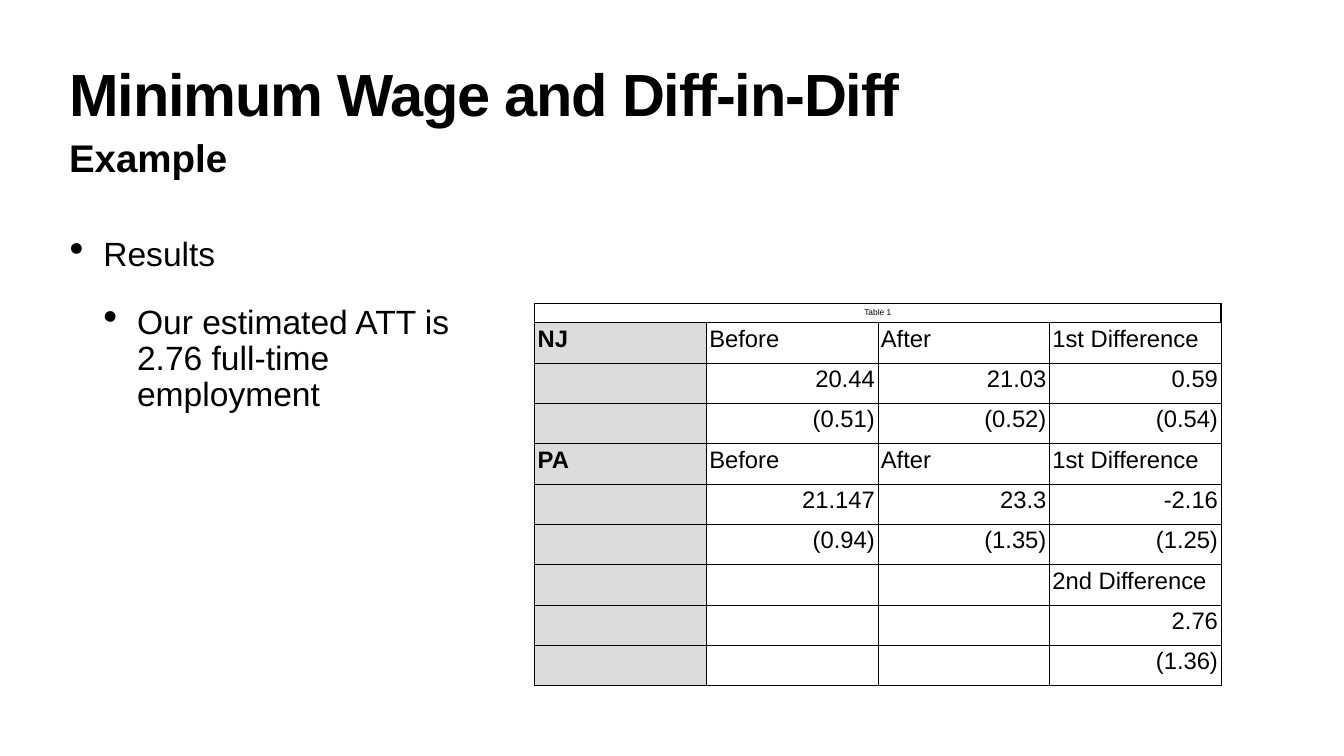
from pptx import Presentation
from pptx.dml.color import RGBColor
from pptx.enum.text import MSO_ANCHOR as Anchor, PP_ALIGN as Align
from pptx.oxml.ns import qn
from pptx.util import Pt
from lxml.etree import SubElement

PX = 9144
INK, LABEL_FILL = "000000", "DCDCDC"
COLUMN_EDGES = [1, 0.75, 0.35, 1, 1]
ROW_EDGES = [1, 1, 1, 0.35, 1, 1, 0.35, 1, 0.35, 0.35, 1]
RESULTS = [
    ["NJ", "Before", "After", "1st Difference"],
    ["", "20.44", "21.03", "0.59"],
    ["", "(0.51)", "(0.52)", "(0.54)"],
    ["PA", "Before", "After", "1st Difference"],
    ["", "21.147", "23.3", "-2.16"],
    ["", "(0.94)", "(1.35)", "(1.25)"],
    ["", "", "", "2nd Difference"],
    ["", "", "", "2.76"],
    ["", "", "", "(1.36)"],
]


def px(length):
    """Turn px into EMU."""
    return length * PX


def color(value):
    """Turn a hex string into a colour."""
    return RGBColor.from_string(value)


def set_attributes(target, values):
    """Set each format value on the target."""
    for name, value in values.items():
        setattr(target, name, value)


def write(para, text, size, bold=False, **layout):
    """Put formatted text into a paragraph and return its spans."""
    para.text = text
    set_attributes(para, layout)
    for span in para.runs:
        set_attributes(span.font, {"name": "Arial", "size": Pt(size), "bold": bold})
        span.font.color.rgb = color(INK)
    return para.runs


def add_frame(page, box, inset, anchor=Anchor.TOP):
    """Add a wrapping text box and return its text frame."""
    frame = page.shapes.add_textbox(*map(px, box)).text_frame
    sides = ("margin_left", "margin_top", "margin_right", "margin_bottom")
    set_attributes(frame, {"word_wrap": True, "vertical_anchor": anchor,
                           **dict.fromkeys(sides, px(inset))})
    return frame


def add_heading(page, box):
    """Add the title and the subtitle below it."""
    left, top, width = box
    title = add_frame(page, (left, top, width, 157), 6, Anchor.MIDDLE)
    for span in write(title.paragraphs[0], "Minimum Wage and Diff-in-Diff", 85, True,
                      line_spacing=0.8):
        span.font._element.set("spc", "-170")
    subtitle = add_frame(page, (left, top + 142, width, 102), 5)
    write(subtitle.paragraphs[0], "Example", 55, True)


def add_bullets(page, box):
    """Add the two levels of bulleted findings."""
    frame = add_frame(page, box, 6)
    findings = ["Results", "Our estimated ATT is\v2.76 full-time\vemployment"]
    for level, text in enumerate(findings):
        para = frame.add_paragraph() if level else frame.paragraphs[0]
        properties = para._p.get_or_add_pPr()
        properties.set("marL", str(px(67 * (level + 1))))
        properties.set("indent", str(px(-67)))
        SubElement(properties, qn("a:buSzPct"), val="123000")
        SubElement(properties, qn("a:buChar"), char="•")
        write(para, text, 48, level=level, line_spacing=0.9,
              space_before=Pt(45 * level))


def style_cell(cell, edges, fill=None):
    """Set the borders, margins and fill of a cell."""
    properties = cell._tc.get_or_add_tcPr()
    for side, width in zip("LRTB", edges):
        line = SubElement(properties, qn(f"a:ln{side}"), w=str(Pt(width)))
        solid = SubElement(line, qn("a:solidFill"))
        SubElement(solid, qn("a:srgbClr"), val=INK)
    sides = ("margin_left", "margin_top", "margin_right", "margin_bottom")
    set_attributes(cell, dict.fromkeys(sides, px(6)))
    if fill:
        cell.fill.solid()
        cell.fill.fore_color.rgb = color(fill)
    else:
        cell.fill.background()


def add_results(page, box):
    """Add the captioned table of differences."""
    table = page.shapes.add_table(len(RESULTS) + 1, 4, *map(px, box)).table
    set_attributes(table, {"first_row": False, "horz_banding": False})
    for row in table.rows:
        row.height = px(80)
    table.rows[0].height = px(38)
    caption = table.cell(0, 0)
    caption.merge(table.cell(0, 3))
    caption.vertical_anchor = Anchor.MIDDLE
    write(caption.text_frame.paragraphs[0], "Table 1", 12, alignment=Align.CENTER)
    for index in range(4):
        style_cell(table.cell(0, index), (1, 3, 1, 1))
    for row, values in enumerate(RESULTS, 1):
        for column, text in enumerate(values):
            cell = table.cell(row, column)
            edges = COLUMN_EDGES[column:column + 2] + ROW_EDGES[row:row + 2]
            style_cell(cell, edges, None if column else LABEL_FILL)
            is_number = any(mark.isdigit() for mark in text) and "Diff" not in text
            write(cell.text_frame.paragraphs[0], text, 34, column == 0,
                  alignment=Align.RIGHT if is_number else Align.LEFT)


def main():
    """Build and save the slide."""
    deck = Presentation()
    set_attributes(deck, {"slide_width": px(2667), "slide_height": px(1500)})
    page = deck.slides.add_slide(deck.slide_layouts[6])
    add_heading(page, (132, 118, 2403))
    add_bullets(page, (132, 465, 2403, 903))
    add_results(page, (1061, 602, 1362, 758))
    deck.save("out.pptx")


if __name__ == "__main__":
    main()
